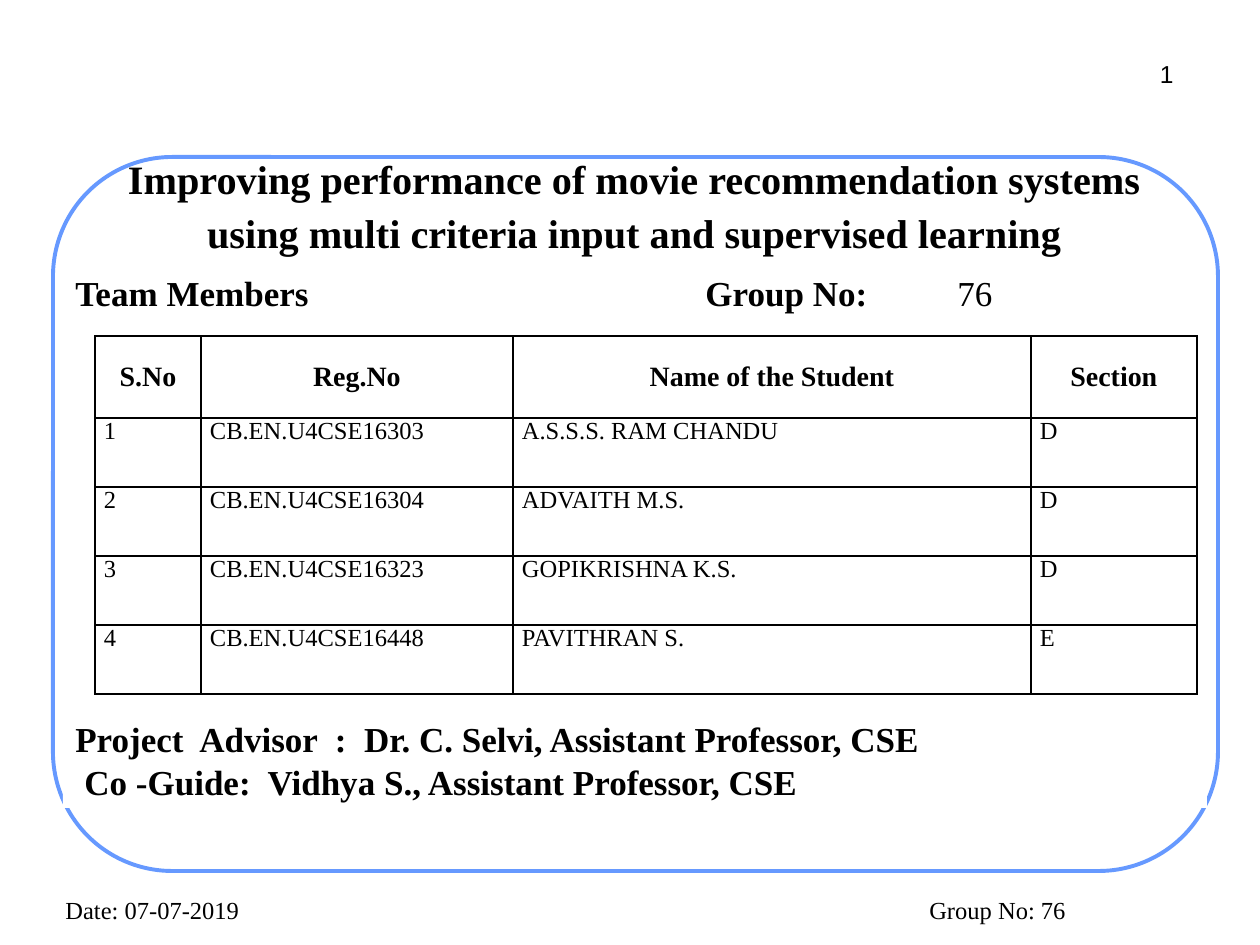
from dataclasses import dataclass

from lxml import etree
from pptx import Presentation, util as u
from pptx.dml.color import RGBColor
from pptx.enum import shapes, text
from pptx.oxml import ns

PX = 914400 / 126


@dataclass(frozen=True)
class Theme:
    ink: RGBColor = RGBColor(0, 0, 0)
    paper: RGBColor = RGBColor(255, 255, 255)
    edge: RGBColor = RGBColor(0x66, 0x99, 0xFF)
    serif: str = "Times New Roman"
    sans: str = "Arial"
    title: int = 23
    body: int = 20
    head: int = 16
    small: int = 14


theme = Theme()


def px(*nums):
    return [u.Emu(round(n * PX)) for n in nums]


def style(para, size, bold=False, face=theme.serif, align=text.PP_ALIGN.LEFT):
    para.alignment = align
    font = para.font
    font.name, font.size, font.bold = face, u.Pt(size), bold
    font.color.rgb = theme.ink


deck = Presentation()
deck.slide_width, deck.slide_height = px(1260, 945)
slide = deck.slides.add_slide(deck.slide_layouts[5])
items = slide.shapes

frame = items.add_shape(shapes.MSO_SHAPE.ROUNDED_RECTANGLE, *px(53, 157, 1165, 714))
frame.adjustments[0] = 0.167
frame.line.color.rgb = theme.edge
frame.line.width = u.Pt(2.25)
panel = items.add_shape(shapes.MSO_SHAPE.RECTANGLE, *px(63, 273, 1144, 535))
panel.line.fill.background()
for shape in (frame, panel):
    shape.shadow.inherit = False
    shape.fill.solid()
    shape.fill.fore_color.rgb = theme.paper

title = items.title
title.left, title.top, title.width, title.height = px(105, 140, 1060, 126)
body = title.text_frame
body.text = ("Improving performance of movie recommendation systems "
             "using multi criteria input and supervised learning")
body.word_wrap = True
body.auto_size = text.MSO_AUTO_SIZE.NONE
body.vertical_anchor = text.MSO_ANCHOR.MIDDLE
body.paragraphs[0].line_spacing = 1.1
style(body.paragraphs[0], theme.title, True, align=text.PP_ALIGN.CENTER)
items._spTree.append(title._element)

body = panel.text_frame
body.word_wrap = True
body.vertical_anchor = text.MSO_ANCHOR.TOP
lines = [
    ("Team Members\tGroup No:", 0),
    ("Project  Advisor  :  Dr. C. Selvi, Assistant Professor, CSE", 236),
    ("Co -Guide:  Vidhya S., Assistant Professor, CSE", 5),
]
for n, (words, gap) in enumerate(lines):
    para = body.paragraphs[0] if n == 0 else body.add_paragraph()
    para.add_run().text = words
    para.line_spacing = 0.8
    para.space_before = u.Pt(gap)
    if n == 0:
        para.add_run().text = "\t76"
        para.runs[1].font.bold = False
        tabs = etree.SubElement(para._p.get_or_add_pPr(), ns.qn("a:tabLst"))
        for stop in px(630, 882):
            etree.SubElement(tabs, ns.qn("a:tab"), pos=str(stop), algn="l")
    style(para, theme.body, True)
para._p.get_or_add_pPr().set("marL", str(px(9)[0]))

notes = [
    ("Date: 07-07-2019", (53, 889, 294, 66), theme.serif, text.PP_ALIGN.LEFT),
    ("1", (966, 53, 220, 66), theme.sans, text.PP_ALIGN.RIGHT),
    ("Group No: 76", (798, 889, 399, 66), theme.serif, text.PP_ALIGN.CENTER),
]
for words, box, face, align in notes:
    body = items.add_textbox(*px(*box)).text_frame
    body.word_wrap = True
    body.text = words
    style(body.paragraphs[0], theme.small, face=face, align=align)

rows = [
    ("S.No", "Reg.No", "Name of the Student", "Section"),
    ("1", "CB.EN.U4CSE16303", "A.S.S.S. RAM CHANDU", "D"),
    ("2", "CB.EN.U4CSE16304", "ADVAITH M.S.", "D"),
    ("3", "CB.EN.U4CSE16323", "GOPIKRISHNA K.S.", "D"),
    ("4", "CB.EN.U4CSE16448", "PAVITHRAN S.", "E"),
]
table = items.add_table(len(rows), 4, *px(95, 336, 1102, 358)).table
for col, width in zip(table.columns, px(106, 312, 518, 166)):
    col.width = width
for r, row in enumerate(rows):
    head = r == 0
    table.rows[r].height = px(82 if head else 69)[0]
    for c, words in enumerate(row):
        cell = table.cell(r, c)
        cell.text = words
        cell.margin_left, cell.margin_right, cell.margin_top, cell.margin_bottom = px(9, 9, 0, 0)
        cell.vertical_anchor = text.MSO_ANCHOR.MIDDLE if head else text.MSO_ANCHOR.TOP
        style(cell.text_frame.paragraphs[0], theme.head if head else theme.small, head,
              align=text.PP_ALIGN.CENTER if head else text.PP_ALIGN.LEFT)
        props = cell._tc.get_or_add_tcPr()
        for side in ("lnL", "lnR", "lnT", "lnB"):
            edge = etree.SubElement(props, ns.qn("a:" + side), w=str(u.Pt(1)))
            fill = etree.SubElement(edge, ns.qn("a:solidFill"))
            etree.SubElement(fill, ns.qn("a:srgbClr"), val=str(theme.ink))
        cell.fill.solid()
        cell.fill.fore_color.rgb = theme.paper

deck.save("out.pptx")
